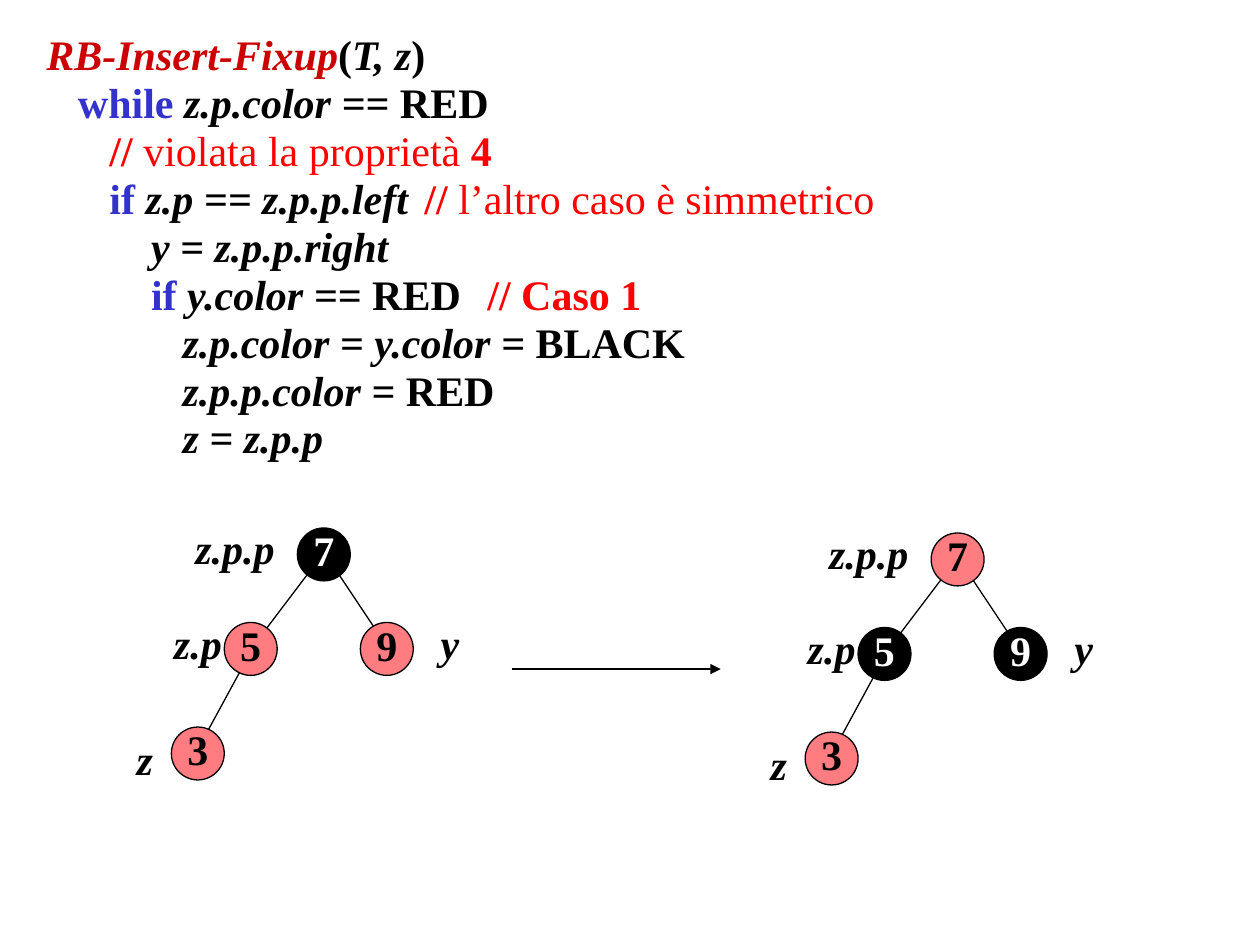
from dataclasses import dataclass

import pptx
import pptx.dml.color
import pptx.enum.shapes
import pptx.enum.text
import pptx.oxml
import pptx.oxml.ns
import pptx.util
from pptx.util import Inches

RGB = pptx.dml.color.RGBColor.from_string
MSO_SHAPE = pptx.enum.shapes.MSO_SHAPE
ANCHOR = pptx.enum.text.MSO_ANCHOR
ALIGN = pptx.enum.text.PP_ALIGN
qn = pptx.oxml.ns.qn


@dataclass(frozen=True)
class Theme:
    font: str = "Times New Roman"
    size: int = 24
    line: float = 0.75
    black: str = "000000"
    white: str = "FFFFFF"
    node_red: str = "FF7C80"
    title: str = "CC0000"
    keyword: str = "3333CC"
    comment: str = "FF0000"


T = Theme()


@dataclass(frozen=True)
class Run:
    text: str
    color: str = T.black
    bold: bool = True
    italic: bool = False


@dataclass(frozen=True)
class CodeLine:
    indent: float
    runs: tuple
    tab: float = 0


@dataclass(frozen=True)
class Node:
    key: str
    x: float
    y: float


@dataclass(frozen=True)
class Label:
    text: str
    x: float
    y: float
    w: float = 0.58


def var(text: str) -> Run:
    return Run(text, italic=True)


def kw(text: str) -> Run:
    return Run(text, T.keyword)


def note(text: str, bold: bool = True) -> Run:
    return Run(text, T.comment, bold)


# Pseudocode: indent in inches, runs, tab stop for a trailing comment
CODE = (
    CodeLine(0, (Run("RB-Insert-Fixup", T.title, italic=True), Run("("), var("T, z"), Run(")"))),
    CodeLine(0.25, (kw("while "), var("z.p.color == "), Run("RED"))),
    CodeLine(0.5, (note("// "), note("violata la proprietà ", False), note("4"))),
    CodeLine(0.5, (kw("if "), var("z.p == z.p.p.left\t"), note("// "),
                   note("l’altro caso è simmetrico", False)), 3.12),
    CodeLine(0.83, (var("y = z.p.p.right"),)),
    CodeLine(0.83, (kw("if "), var("y.color == "), Run("RED\t"), note("// Caso 1")), 5.46),
    CodeLine(1.08, (var("z.p.color = y.color = "), Run("BLACK"))),
    CodeLine(1.08, (var("z.p.p.color = "), Run("RED"))),
    CodeLine(1.08, (var("z = z.p.p"),)),
)

# Tree geometry, shared by both states
NODE = 0.42
NODES = (Node("5", 1.78, 4.94), Node("9", 2.86, 4.94), Node("3", 1.36, 5.77), Node("7", 2.36, 4.19))
EDGES = ((2.53, 4.44, 2.03, 5.1), (2.03, 5.1, 1.53, 6.02), (2.61, 4.44, 3.11, 5.19))
LABELS = (Label("z.p.p", 1.45, 4.1, 0.83), Label("y", 3.28, 4.85),
          Label("z.p ", 1.28, 4.85), Label("z", 0.86, 5.77))


def add_text(p, text: str, *, color: str = T.black, bold: bool = True, italic: bool = False) -> None:
    r = p.add_run()
    r.text = text
    r.font.name, r.font.size = T.font, pptx.util.Pt(T.size)
    r.font.bold, r.font.italic = bold, italic
    r.font.color.rgb = RGB(color)


def add_code(s, lines: tuple) -> None:
    tf = s.shapes.add_textbox(Inches(0.27), Inches(0.21), Inches(9.41), Inches(3.52)).text_frame
    tf.word_wrap = True
    for i, line in enumerate(lines):
        p = tf.add_paragraph() if i else tf.paragraphs[0]
        p.line_spacing = 0.95
        pPr = p._p.get_or_add_pPr()
        pPr.set("marL", "0")
        pPr.set("indent", str(Inches(line.indent)))
        if line.tab:
            tabs = pptx.oxml.parse_xml(f'<a:tabLst {pptx.oxml.ns.nsdecls("a")}>'
                                       f'<a:tab pos="{Inches(line.tab)}" algn="l"/></a:tabLst>')
            pPr.append(tabs)
        for run in line.runs:
            add_text(p, run.text, color=run.color, bold=run.bold, italic=run.italic)


def centered(sp):
    tf = sp.text_frame
    tf.word_wrap = False
    tf.vertical_anchor = ANCHOR.MIDDLE
    p = tf.paragraphs[0]
    p.alignment = ALIGN.CENTER
    return p


def add_line(s, x1: float, y1: float, x2: float, y2: float, arrow: bool = False) -> None:
    c = s.shapes.add_connector(pptx.enum.shapes.MSO_CONNECTOR.STRAIGHT,
                               Inches(x1), Inches(y1), Inches(x2), Inches(y2))
    c.line.color.rgb = RGB(T.black)
    c.line.width = pptx.util.Pt(T.line)
    if arrow:
        c.line._get_or_add_ln().append(pptx.oxml.parse_xml(
            f'<a:tailEnd {pptx.oxml.ns.nsdecls("a")} type="triangle"/>'))
    c._element.spPr.append(c._element.makeelement(qn("a:effectLst"), {}))


def add_node(s, node: Node, dx: float, dy: float, black: bool) -> None:
    sp = s.shapes.add_shape(MSO_SHAPE.OVAL, Inches(node.x + dx), Inches(node.y + dy),
                            Inches(NODE), Inches(NODE))
    sp.shadow.inherit = False
    sp.fill.solid()
    sp.fill.fore_color.rgb = RGB(T.black if black else T.node_red)
    sp.line.color.rgb = RGB(T.black)
    sp.line.width = pptx.util.Pt(T.line)
    p = centered(sp)
    p.line_spacing = 0.8
    add_text(p, node.key, color=T.white if black else T.black)


def add_tree(s, dx: float, dy: float, black_keys: str) -> None:
    for x1, y1, x2, y2 in EDGES:
        add_line(s, x1 + dx, y1 + dy, x2 + dx, y2 + dy)
    for node in NODES:
        add_node(s, node, dx, dy, node.key in black_keys)
    for label in LABELS:
        sp = s.shapes.add_textbox(Inches(label.x + dx), Inches(label.y + dy),
                                  Inches(label.w), Inches(0.5))
        add_text(centered(sp), label.text, italic=True)


def main() -> None:
    prs = pptx.Presentation()
    prs.slide_width, prs.slide_height = Inches(10), Inches(7.5)
    s = prs.slides.add_slide(prs.slide_layouts[6])
    add_code(s, CODE)
    # Before and after recolouring
    add_tree(s, 0, 0, black_keys="7")
    add_line(s, 4.06, 5.31, 5.72, 5.31, arrow=True)
    add_tree(s, 5.03, 0.04, black_keys="59")
    prs.save("out.pptx")


if __name__ == "__main__":
    main()
